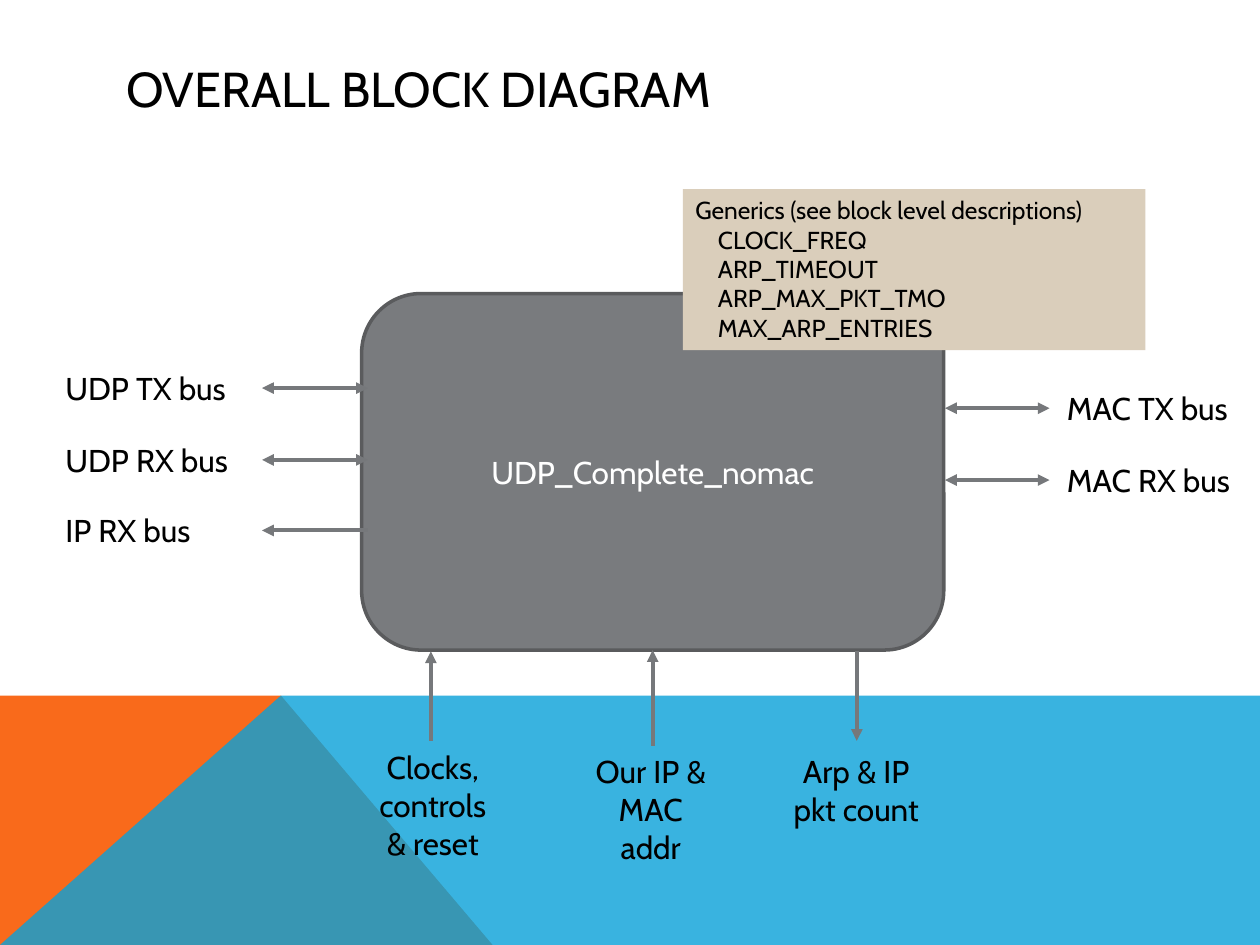
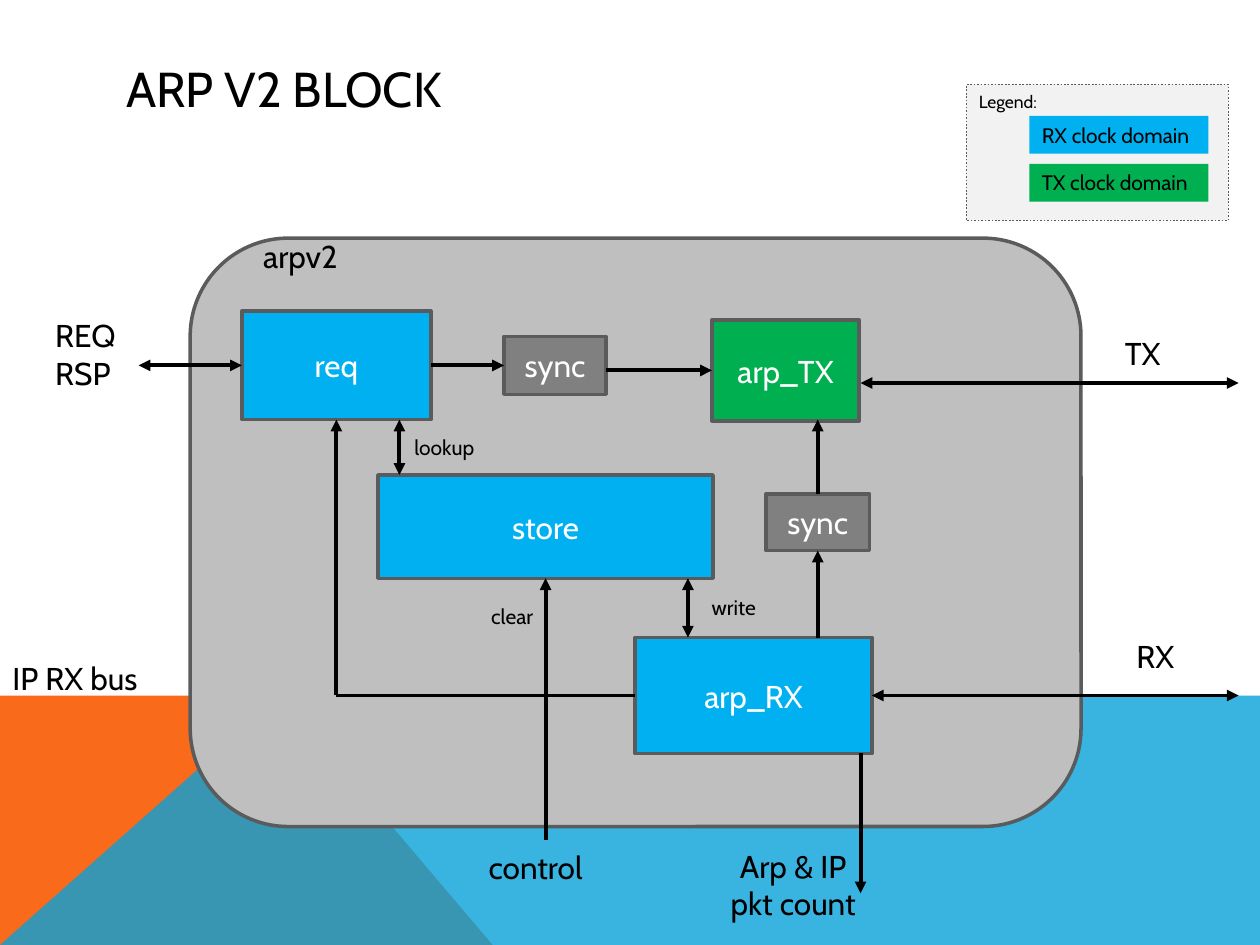
from pptx import Presentation
from pptx.dml.color import RGBColor
from pptx.enum.dml import MSO_LINE
from pptx.enum.shapes import MSO_CONNECTOR, MSO_SHAPE
from pptx.enum.text import MSO_ANCHOR, PP_ALIGN
from pptx.oxml.ns import qn
from pptx.util import Inches, Pt
from lxml import etree

FONT = "Cabin"
BLACK, WHITE = "000000", "FFFFFF"
ORANGE, SKY = "F96A1B", "08A1D9"
GRAY, EDGE, BUS = "797B7E", "5A5B5D", "76787B"
PANEL, SYNC, LEGEND, SAND = "BFBFBF", "808080", "F2F2F2", "DACEBB"
RX_BLUE, TX_GREEN = "00B0F0", "00B050"

RECT, ROUNDED = MSO_SHAPE.RECTANGLE, MSO_SHAPE.ROUNDED_RECTANGLE
STRAIGHT = MSO_CONNECTOR.STRAIGHT
DOTTED = MSO_LINE.ROUND_DOT
LEFT, CENTER = PP_ALIGN.LEFT, PP_ALIGN.CENTER
TOP_ANCHOR, MIDDLE = MSO_ANCHOR.TOP, MSO_ANCHOR.MIDDLE
TOP, WEST, BOTTOM, EAST = range(4)  # connection sites of a rectangle
HEAD, TAIL = "a:headEnd", "a:tailEnd"
BOTH = (HEAD, TAIL)

LAYOUT_TITLE_ONLY = 5
BAND_TOP, BAND_PEAK = 5.52, 2.23


def rgb(value):
    return RGBColor.from_string(value)


def inches(*lengths):
    return [Inches(length) for length in lengths]


def put_text(shape, text, size=18, color=BLACK, align=LEFT, anchor=TOP_ANCHOR):
    frame = shape.text_frame
    frame.word_wrap = True
    frame.vertical_anchor = anchor
    frame.text = text
    for para in frame.paragraphs:
        para.alignment = align
        para.font.name = FONT
        para.font.size = Pt(size)
        para.font.color.rgb = rgb(color)
    return frame


def add_label(page, text, left, top, width, height=0.4, size=18, align=LEFT):
    box = page.shapes.add_textbox(*inches(left, top, width, height))
    return put_text(box, text, size, align=align)


def add_box(page, place, fill, edge=EDGE, width=2, kind=RECT):
    box = page.shapes.add_shape(kind, *inches(*place))
    box.shadow.inherit = False
    box.fill.solid()
    box.fill.fore_color.rgb = rgb(fill)
    if edge:
        box.line.color.rgb = rgb(edge)
        box.line.width = Pt(width)
    else:
        box.line.fill.background()
    return box


def add_block(page, name, place, fill, kind=RECT):
    block = add_box(page, place, fill, kind=kind)
    put_text(block, name, color=WHITE, align=CENTER, anchor=MIDDLE)
    return block


def add_arrow(page, start, end, color=BLACK, heads=(TAIL,)):
    """Each end is a point (x, y) or a joint (shape, site)."""
    points = [end_ if isinstance(end_[0], (int, float)) else None
              for end_ in (start, end)]
    first, last = (point or (0, 0) for point in points)
    arrow = page.shapes.add_connector(STRAIGHT, *inches(*first, *last))
    if points[0] is None:
        arrow.begin_connect(*start)
    if points[1] is None:
        arrow.end_connect(*end)
    arrow.line.color.rgb = rgb(color)
    arrow.line.width = Pt(2.25)
    line = arrow.line._get_or_add_ln()
    for head in heads:
        etree.SubElement(line, qn(head), type="triangle")
    etree.SubElement(arrow.element.spPr, qn("a:effectLst"))


def add_band(page, layout, position, points, color, alpha=None):
    """Draw a filled outline and move it to the shared layout."""
    corners = [inches(*point) for point in points]
    builder = page.shapes.build_freeform(*corners[0])
    builder.add_line_segments(corners[1:], close=True)
    band = builder.convert_to_shape()
    band.shadow.inherit = False
    band.fill.solid()
    band.fill.fore_color.rgb = rgb(color)
    band.line.fill.background()
    if alpha:
        tint = band.element.find(".//" + qn("a:srgbClr"))
        etree.SubElement(tint, qn("a:alpha"), val=str(alpha * 1000))
    layout.shapes.element.insert(position, band.element)


def add_bands(page, layout):
    peak = (BAND_PEAK, BAND_TOP)
    add_band(page, layout, 2,
             [(0, 7.5), (0, BAND_TOP), peak, (3.91, 7.5)], ORANGE)
    add_band(page, layout, 3,
             [(0, 7.5), peak, (10, BAND_TOP), (10, 7.5)], SKY, alpha=80)


def add_page(deck, title):
    page = deck.slides.add_slide(deck.slide_layouts[LAYOUT_TITLE_ONLY])
    heading = page.shapes.title
    heading.left, heading.top, heading.width, heading.height = inches(
        0.9, 0.4, 8.22, 0.6)
    put_text(heading, title, 28, anchor=MIDDLE)
    return page


def add_generics(page):
    box = add_box(page, (5.42, 1.5, 3.67, 1.28), SAND, edge=None)
    names = ["CLOCK_FREQ", "ARP_TIMEOUT", "ARP_MAX_PKT_TMO", "MAX_ARP_ENTRIES"]
    lines = ["Generics (see block level descriptions)"] + names
    frame = put_text(box, "\n".join(lines), 14)
    for para in frame.paragraphs[1:]:
        para._p.get_or_add_pPr().set("marL", str(Inches(0.18)))


def fill_overview(page):
    core = add_block(page, "UDP_Complete_nomac", (2.87, 2.33, 4.62, 2.83),
                     GRAY, ROUNDED)

    # Buses on the left and right sides
    for name, y, heads in [("UDP TX bus", 3.08, BOTH),
                           ("UDP RX bus", 3.65, BOTH),
                           ("IP RX bus", 4.21, (HEAD,))]:
        add_arrow(page, (2.08, y), (2.92, y), BUS, heads)
        add_label(page, name, 0.42, y - 0.2, 1.67)
    for name, y in [("MAC TX bus", 3.24), ("MAC RX bus", 3.81)]:
        add_arrow(page, (7.5, y), (8.33, y), BUS, BOTH)
        add_label(page, name, 8.37, y - 0.2, 1.63)

    # Control and status signals below
    add_arrow(page, (3.42, 5.17), (3.42, 5.88), BUS, (HEAD,))
    add_arrow(page, (core, BOTTOM), (5.18, 5.92), BUS, (HEAD,))
    add_arrow(page, (6.8, 5.17), (6.8, 5.88), BUS)
    for name, left, top, width, height in [
            ("Clocks, controls & reset", 2.87, 5.89, 1.13, 1.01),
            ("Our IP & MAC addr", 4.58, 5.92, 1.17, 1.01),
            ("Arp & IP pkt count", 6.17, 5.92, 1.25, 0.71)]:
        add_label(page, name, left, top, width, height, align=CENTER)

    add_generics(page)


def add_legend(page):
    add_box(page, (7.67, 0.67, 2.08, 1.08), LEGEND, width=1).line.dash_style = DOTTED
    add_label(page, "Legend:", 7.67, 0.67, 0.83, 0.27, size=10)
    for name, top, color in [("RX clock domain", 0.92, RX_BLUE),
                             ("TX clock domain", 1.3, TX_GREEN)]:
        put_text(add_box(page, (8.17, top, 1.42, 0.3), color, edge=None), name, 12)


def fill_arp(page):
    add_legend(page)
    add_box(page, (1.51, 1.89, 7.07, 4.67), PANEL, kind=ROUNDED)

    # Blocks
    req = add_block(page, "req", (1.92, 2.47, 1.5, 0.86), RX_BLUE)
    req_sync = add_block(page, "sync", (4, 2.67, 0.81, 0.46), SYNC)
    store = add_block(page, "store", (3, 3.77, 2.66, 0.82), RX_BLUE)
    arp_tx = add_block(page, "arp_TX", (5.65, 2.54, 1.17, 0.8), TX_GREEN)
    arp_rx = add_block(page, "arp_RX", (5.04, 5.06, 1.88, 0.92), RX_BLUE)
    rx_sync = add_block(page, "sync", (6.08, 3.92, 0.82, 0.45), SYNC)

    # Signals
    add_arrow(page, (1.1, 2.9), (req, WEST), heads=BOTH)
    add_arrow(page, (req, EAST), (req_sync, WEST))
    add_arrow(page, (4.81, 2.94), (arp_tx, WEST))
    add_arrow(page, (6.83, 3.04), (9.83, 3.04), heads=BOTH)
    add_arrow(page, (arp_rx, EAST), (9.83, 5.52), heads=BOTH)
    add_arrow(page, (3.17, 3.33), (3.17, 3.77), heads=BOTH)
    add_arrow(page, (5.46, 4.59), (5.46, 5.06), heads=BOTH)
    add_arrow(page, (4.33, 6.67), (store, BOTTOM))
    add_arrow(page, (6.83, 5.98), (6.83, 7.09))
    add_arrow(page, (6.49, 5.06), (rx_sync, BOTTOM))
    add_arrow(page, (rx_sync, TOP), (6.49, 3.33))
    add_arrow(page, (arp_rx, WEST), (2.67, 5.52), heads=())
    add_arrow(page, (2.67, 5.52), (req, BOTTOM))

    # Labels
    add_label(page, "REQ\vRSP", 0.34, 2.46, 0.76, 0.71)
    add_label(page, "control", 3.78, 6.68, 0.99)
    add_label(page, "IP RX bus", 0, 5.18, 1.67)
    add_label(page, "Arp & IP pkt count", 5.67, 6.67, 1.25, 0.71, align=CENTER)
    add_label(page, "TX", 8.83, 2.6, 0.58)
    add_label(page, "RX", 8.92, 5.01, 0.58)
    add_label(page, "arpv2", 1.99, 1.83, 0.81).word_wrap = False
    for name, left, top, width in [("clear", 3.8, 4.74, 0.61),
                                   ("lookup", 3.19, 3.4, 0.73),
                                   ("write", 5.55, 4.67, 0.62)]:
        add_label(page, name, left, top, width, 0.3, size=12)


def main():
    deck = Presentation()
    deck.slide_width, deck.slide_height = inches(10, 7.5)

    overview = add_page(deck, "OVERALL BLOCK DIAGRAM")
    add_bands(overview, deck.slide_layouts[LAYOUT_TITLE_ONLY])
    fill_overview(overview)

    fill_arp(add_page(deck, "ARP V2 BLOCK"))
    deck.save("out.pptx")


if __name__ == "__main__":
    main()
